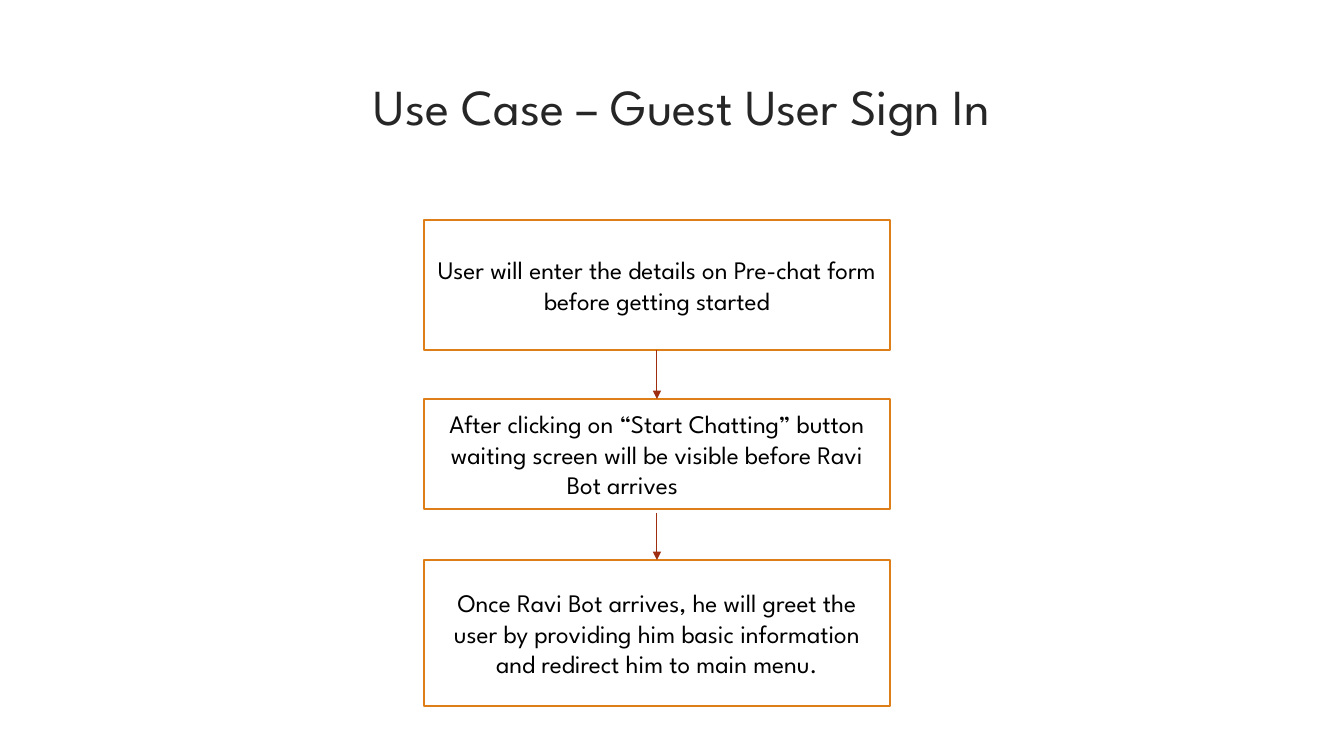
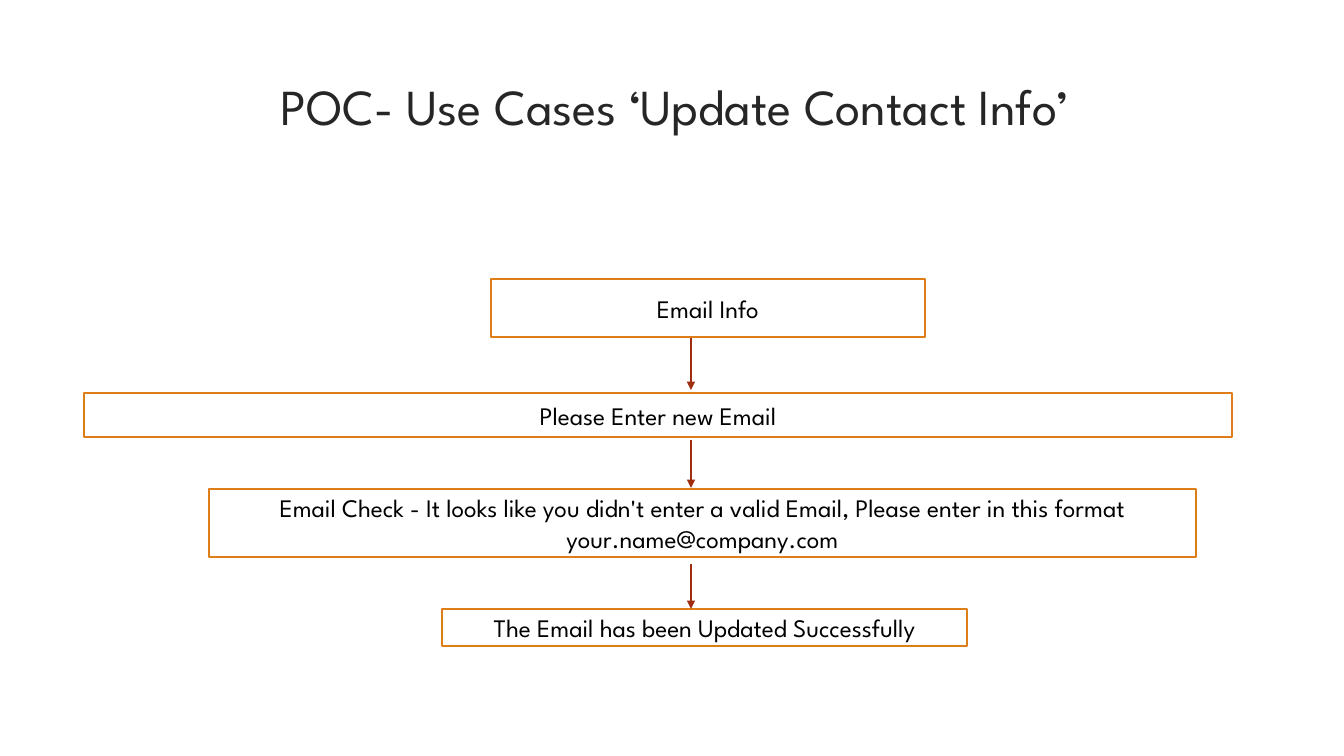
from dataclasses import dataclass

from lxml.etree import SubElement
from pptx import Presentation
from pptx.dml.color import RGBColor
from pptx.enum.shapes import MSO_CONNECTOR, MSO_SHAPE
from pptx.enum.text import MSO_ANCHOR, PP_ALIGN
from pptx.oxml.ns import qn
from pptx.util import Pt

PX = 914400 / 100.8


@dataclass(frozen=True)
class Theme:
    font: str = "League Spartan"
    title_color: RGBColor = RGBColor(0x26, 0x26, 0x26)
    text_color: RGBColor = RGBColor(0, 0, 0)
    box_fill: RGBColor = RGBColor(0xFF, 0xFF, 0xFF)
    box_line: RGBColor = RGBColor(0xDE, 0x7E, 0x18)
    arrow_color: RGBColor = RGBColor(0x9E, 0x2E, 0x0F)
    title_size: int = 36
    text_size: int = 18
    box_line_width: float = 1.25
    arrow_width: float = 0.75


THEME = Theme()
TOP, BOTTOM = 0, 2  # connection sites of a rectangle
STEP_LEFT, STEP_WIDTH = 424, 466

# Steps: left, top, width, height, then (text, left indent) paragraphs;
# no indent means centred. Arrows: x, start y, end y.
SLIDES = [
    {
        "title": "Use Case – Guest User Sign In",
        "title_left": 96,
        "steps": [
            (STEP_LEFT, 220, STEP_WIDTH, 130, [
                ("User will enter the details on Pre-chat form before getting started", None)]),
            (STEP_LEFT, 399, STEP_WIDTH, 110, [
                ("After clicking on “Start Chatting” button waiting screen will be "
                 "visible before Ravi", None),
                ("Bot arrives", 133)]),
            (STEP_LEFT, 560, STEP_WIDTH, 146, [
                ("Once Ravi Bot arrives, he will greet the user by providing him basic "
                 "information and redirect him to main menu.", None)]),
        ],
        "arrows": [(657, 350, 399), (657, 513, 560)],
    },
    {
        "title": "POC- Use Cases ‘Update Contact Info’",
        "title_left": 89,
        "steps": [
            (491, 279, 434, 58, [("Email Info", None)]),
            (84, 393, 1148, 44, [("Please Enter new Email", None)]),
            (209, 489, 987, 68, [
                ("Email Check - It looks like you didn't enter a valid Email, Please "
                 "enter in this format your.name@company.com", None)]),
            (442, 609, 525, 37, [("The Email has been Updated Successfully", None)]),
        ],
        "arrows": [(691, 338, 390), (691, 440, 488), (691, 564, 609)],
    },
]


def px(*lengths):
    return [round(length * PX) for length in lengths]


def write(para, text, size, color, indent=None):
    """Add one run; centre the paragraph unless it has a left indent."""
    para.alignment = PP_ALIGN.CENTER
    if indent is not None:
        para.alignment = PP_ALIGN.LEFT
        para._p.get_or_add_pPr().set("marL", str(px(indent)[0]))
    span = para.add_run()
    span.text = text
    span.font.name = THEME.font
    span.font.size = Pt(size)
    span.font.color.rgb = color


deck = Presentation()
deck.slide_width, deck.slide_height = px(1344, 756)

for content in SLIDES:
    page = deck.slides.add_slide(deck.slide_layouts[6])

    title = page.shapes.add_textbox(*px(content["title_left"], 70, 1172, 98))
    title.text_frame.word_wrap = True
    write(title.text_frame.paragraphs[0], content["title"], THEME.title_size, THEME.title_color)

    join_points = {}
    for left, top, width, height, paragraphs in content["steps"]:
        box = page.shapes.add_shape(MSO_SHAPE.RECTANGLE, *px(left, top, width, height))
        box.shadow.inherit = False
        box.fill.solid()
        box.fill.fore_color.rgb = THEME.box_fill
        box.line.color.rgb = THEME.box_line
        box.line.width = Pt(THEME.box_line_width)
        frame = box.text_frame
        frame.word_wrap = True
        frame.vertical_anchor = MSO_ANCHOR.MIDDLE
        for index, (text, indent) in enumerate(paragraphs):
            para = frame.add_paragraph() if index else frame.paragraphs[0]
            write(para, text, THEME.text_size, THEME.text_color, indent)
        middle = left + width / 2
        join_points[middle, top] = (box, TOP)
        join_points[middle, top + height] = (box, BOTTOM)

    for x, start, end in content["arrows"]:
        arrow = page.shapes.add_connector(MSO_CONNECTOR.STRAIGHT, *px(x, start, x, end))
        arrow.line.color.rgb = THEME.arrow_color
        arrow.line.width = Pt(THEME.arrow_width)
        SubElement(arrow.line._get_or_add_ln(), qn("a:tailEnd"), type="triangle")
        SubElement(arrow._element.spPr, qn("a:effectLst"))
        if (x, start) in join_points:
            arrow.begin_connect(*join_points[x, start])
        if (x, end) in join_points:
            arrow.end_connect(*join_points[x, end])

deck.save("out.pptx")
